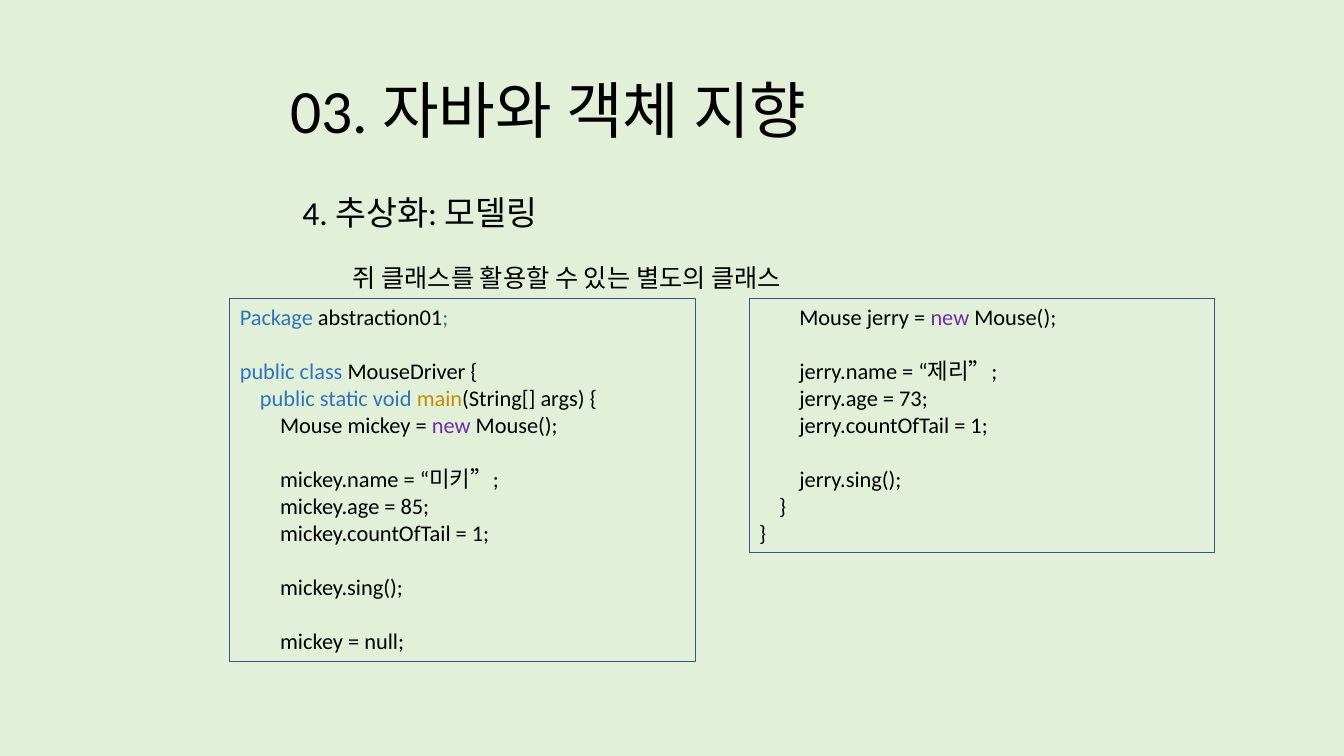
from pptx import Presentation
from pptx.dml.color import RGBColor
from pptx.enum.shapes import MSO_SHAPE
from pptx.enum.text import MSO_ANCHOR, MSO_AUTO_SIZE, PP_ALIGN
from pptx.util import Inches, Pt

BLACK = RGBColor(0x00, 0x00, 0x00)
BLUE = RGBColor(0x2E, 0x75, 0xB6)
PURPLE = RGBColor(0x70, 0x30, 0xA0)
GOLD = RGBColor(0xBF, 0x90, 0x00)
BORDER = RGBColor(0x32, 0x54, 0x91)
GREEN = RGBColor(0xE2, 0xF0, 0xD9)

TITLE = "03. 자바와 객체 지향"
TOPIC = "4. 추상화: 모델링"
CAPTION = "쥐 클래스를 활용할 수 있는 별도의 클래스"
BLANK = []
JERRY = [
    [("        Mouse jerry = ", BLACK), ("new", PURPLE), (" Mouse();", BLACK)],
    BLANK,
    [("        jerry.name = “제리”;", BLACK)],
    [("        jerry.age = 73;", BLACK)],
    [("        jerry.countOfTail = 1;", BLACK)],
    BLANK,
    [("        jerry.sing();", BLACK)],
    [("    }", BLACK)],
    [("}", BLACK)],
]
MICKEY = [
    [("Package ", BLUE), ("abstraction01", BLACK), (";", BLUE)],
    BLANK,
    [("public class ", BLUE), ("MouseDriver {", BLACK)],
    [("    public static void ", BLUE), ("main", GOLD), ("(String[] args) {", BLACK)],
    [("        Mouse mickey = ", BLACK), ("new", PURPLE), (" Mouse();", BLACK)],
    BLANK,
    [("        mickey.name = “미키”;", BLACK)],
    [("        mickey.age = 85;", BLACK)],
    [("        mickey.countOfTail = 1;", BLACK)],
    BLANK,
    [("        mickey.sing();", BLACK)],
    BLANK,
    [("        mickey = null;", BLACK)],
]

WIDTH, HEIGHT = 13.33, 7.5
CODE_TOP, CODE_WIDTH, LINE_HEIGHT, CODE_PAD = 2.96, 4.62, 0.27, 0.09
CODE_LEFT, CODE_STEP = 2.28, 5.15
LINE_RATIO = 1.22


def set_all(target, formats):
    for name, value in formats.items():
        setattr(target, name, value)


def write(tf, lines, size):
    blanks = 0
    for i, line in enumerate(lines):
        if not line:
            blanks += 1
            continue
        p = tf.add_paragraph() if i else tf.paragraphs[0]
        p.alignment = PP_ALIGN.LEFT
        if blanks:
            p.space_before = Pt(round(blanks * size * LINE_RATIO, 1))
        blanks = 0
        for text, color in line:
            r = p.add_run()
            r.text = text
            set_all(r.font, {"name": "Calibri", "size": Pt(size)})
            r.font.color.rgb = color


def add_text(s, box, anchor):
    tf = s.shapes.add_textbox(*map(Inches, box)).text_frame
    set_all(tf, {"word_wrap": True, "vertical_anchor": anchor})
    return tf


def add_code(s, column, lines):
    box = (CODE_LEFT + column * CODE_STEP, CODE_TOP, CODE_WIDTH,
           CODE_PAD + len(lines) * LINE_HEIGHT)
    sp = s.shapes.add_shape(MSO_SHAPE.RECTANGLE, *map(Inches, box))
    sp.shadow.inherit = False
    sp.fill.background()
    sp.line.color.rgb = BORDER
    sp.line.width = Pt(0.75)
    set_all(sp.text_frame, {"word_wrap": True, "vertical_anchor": MSO_ANCHOR.TOP,
                            "auto_size": MSO_AUTO_SIZE.SHAPE_TO_FIT_TEXT})
    write(sp.text_frame, lines, 16)


def main():
    """Build the abstraction and modelling slide."""
    prs = Presentation()
    set_all(prs, {"slide_width": Inches(WIDTH), "slide_height": Inches(HEIGHT)})
    s = prs.slides.add_slide(prs.slide_layouts[6])
    s.background.fill.solid()
    s.background.fill.fore_color.rgb = GREEN

    tf = add_text(s, (2.78, 0.4, 10.29, 1.45), MSO_ANCHOR.MIDDLE)
    write(tf, [[(TITLE, BLACK)]], 44)
    tf.paragraphs[0].line_spacing = 0.9

    tf = add_text(s, (2.9, 1.85, 8.7, 1.11), MSO_ANCHOR.TOP)
    write(tf, [[(TOPIC, BLACK)], [(CAPTION, BLACK)]], 24)
    caption = tf.paragraphs[1]
    set_all(caption, {"level": 1, "space_before": Pt(22)})
    caption.runs[0].font.size = Pt(18)
    pPr = caption._p.get_or_add_pPr()
    pPr.set("marL", str(Inches(0.5)))
    pPr.set("indent", "0")

    add_code(s, 1, JERRY)
    add_code(s, 0, MICKEY)
    prs.save("out.pptx")


if __name__ == "__main__":
    main()
